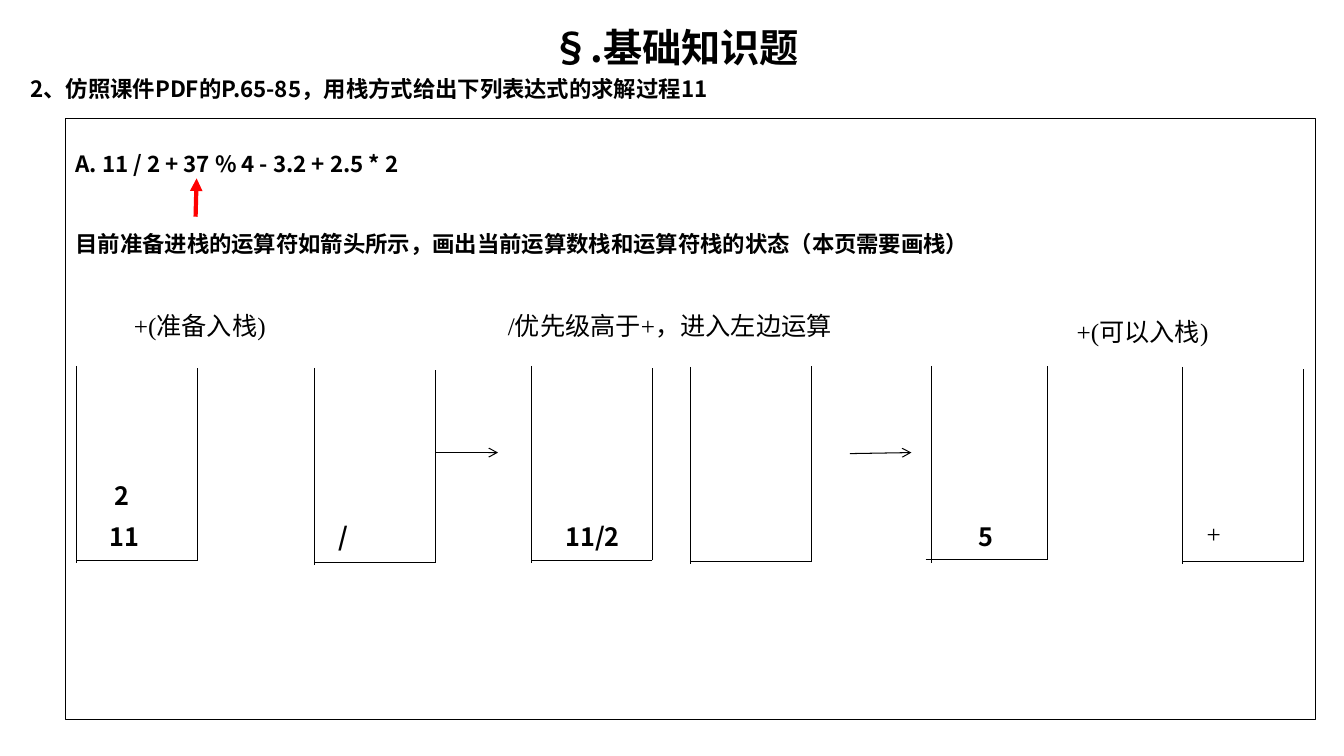
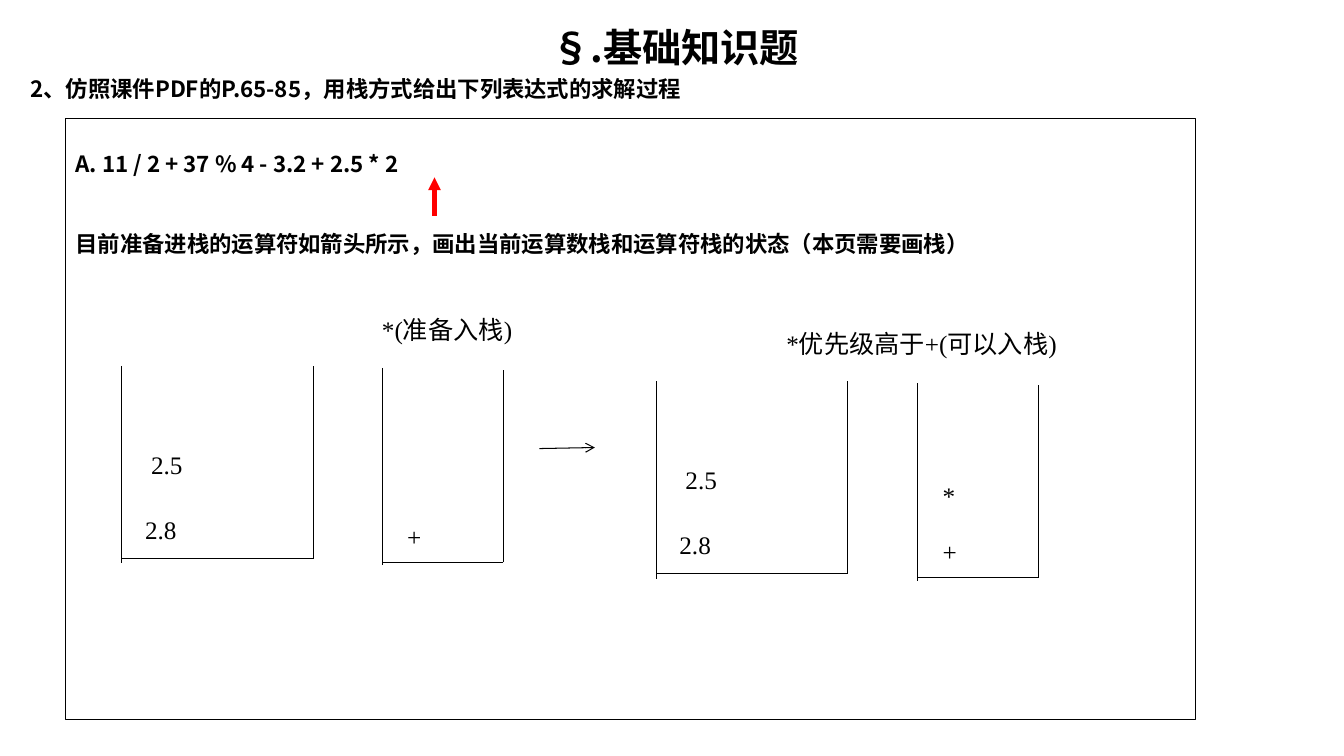
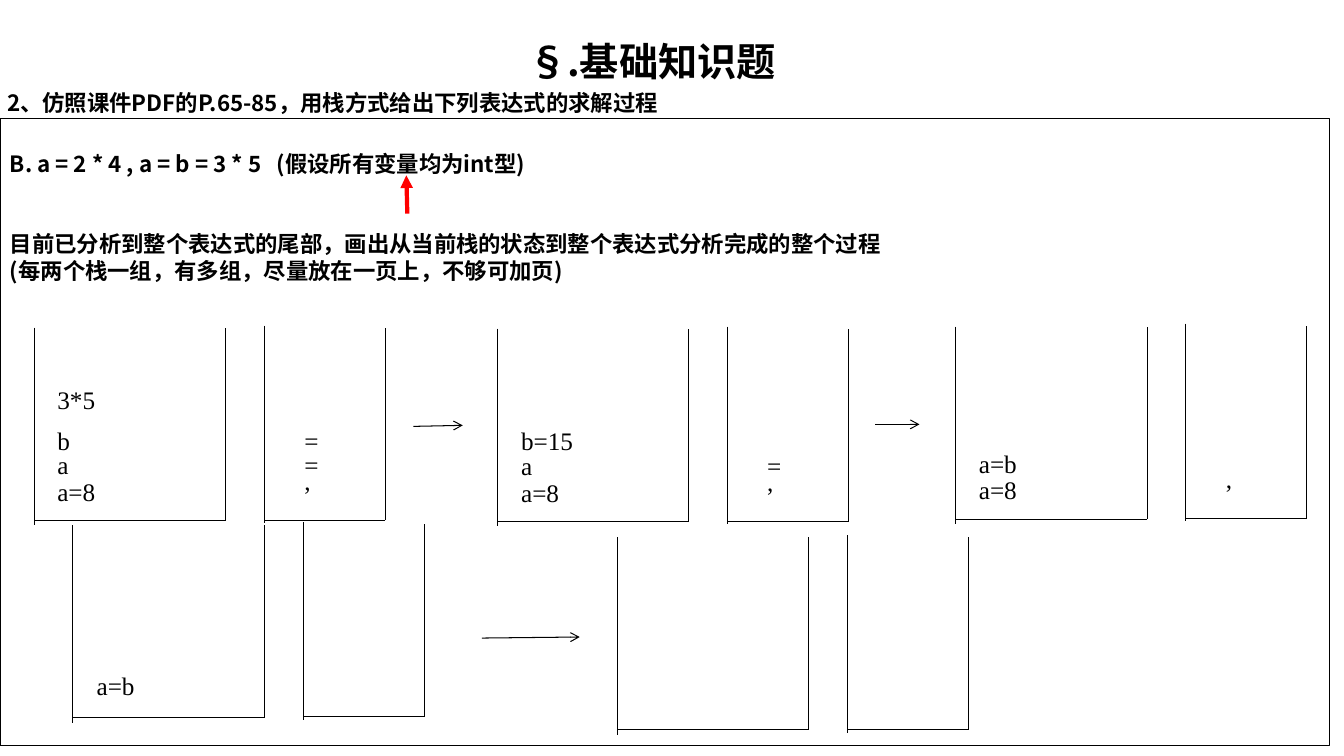
from dataclasses import dataclass

from pptx import Presentation
from pptx.dml.color import RGBColor
from pptx.enum.shapes import MSO_CONNECTOR as Connector, MSO_SHAPE as Preset
from pptx.enum.text import MSO_ANCHOR as Anchor, MSO_AUTO_SIZE as AutoSize, PP_ALIGN as Align
from pptx.oxml.ns import qn
from pptx.slide import Slide
from pptx.text.text import TextFrame
from pptx.util import Emu, Pt
from lxml.etree import SubElement

PX = 9144  # 100 px to the inch
COLOURS = {"ink": "000000", "pointer": "FF0000"}
SANS, SERIF = "Noto Sans CJK SC", "Times New Roman"
HEADING = "§.基础知识题"
QUESTION = "2、仿照课件PDF的P.65-85，用栈方式给出下列表达式的求解过程"
EXPRESSION_A = "A. 11 / 2 + 37 % 4 - 3.2 + 2.5 * 2"
TASK_A = "目前准备进栈的运算符如箭头所示，画出当前运算数栈和运算符栈的状态（本页需要画栈）"
EXPRESSION_B = "B. a = 2 * 4 , a = b = 3 * 5   (假设所有变量均为int型)"
TASK_B = "目前已分析到整个表达式的尾部，画出从当前栈的状态到整个表达式分析完成的整个过程"
TASK_B_NOTE = "(每两个栈一组，有多组，尽量放在一页上，不够可加页)"


@dataclass(frozen=True)
class Label:
    """Text at a place on the slide, or inside a stack relative to its top left."""
    text: str
    left: int
    top: int
    width: int = 92
    bold: bool = False


@dataclass(frozen=True)
class Stack:
    left: int
    top: int
    width: int = 120
    floor: int = 193
    right_drop: int = 2
    overhang: int = 0
    items: tuple[Label, ...] = ()


@dataclass(frozen=True)
class Arrow:
    start: tuple[int, int]
    end: tuple[int, int]


@dataclass(frozen=True)
class Page:
    question: str
    title_at: tuple[int, int]
    frame: tuple[int, int, int, int]
    lines: tuple[str, ...]
    pointer: Arrow
    stacks: tuple[Stack, ...]
    steps: tuple[Arrow, ...]
    captions: tuple[Label, ...] = ()


def px(*lengths: int) -> list[Emu]:
    return [Emu(length * PX) for length in lengths]


def write(frame: TextFrame, text: str, *, size: int, font: str = SANS, bold: bool = True,
          align: Align = Align.LEFT, before: float = 0) -> None:
    """Fill the empty first paragraph, or append a new one."""
    first = frame.paragraphs[0]
    paragraph = frame.add_paragraph() if first.runs else first
    paragraph.alignment = align
    paragraph.space_before = Pt(before)
    run = paragraph.add_run()
    run.text = text
    run.font.size, run.font.bold, run.font.name = Pt(size), bold, font
    run.font.color.rgb = RGBColor.from_string(COLOURS["ink"])
    east_asian = SubElement(run.font._element, qn("a:ea"))
    east_asian.set("typeface", SANS)


def draw_line(slide: Slide, start: tuple[int, int], end: tuple[int, int], *,
              colour: str = "ink", weight: float = 0.75, head: str = "") -> None:
    line = slide.shapes.add_connector(Connector.STRAIGHT, *px(*start, *end))
    line.line.color.rgb = RGBColor.from_string(COLOURS[colour])
    line.line.width = Pt(weight)
    if head:
        SubElement(line.line._get_or_add_ln(), qn("a:tailEnd")).set("type", head)
    SubElement(line._element.spPr, qn("a:effectLst"))


def draw_label(slide: Slide, label: Label, left: int = 0, top: int = 0) -> None:
    box = slide.shapes.add_textbox(*px(left + label.left, top + label.top, label.width, 40))
    frame = box.text_frame
    frame.word_wrap = True
    frame.auto_size = AutoSize.SHAPE_TO_FIT_TEXT
    write(frame, label.text, size=18, font=SANS if label.bold else SERIF, bold=label.bold)


def draw_stack(slide: Slide, stack: Stack) -> None:
    """Draw an open-topped box and what it holds."""
    left, top, right = stack.left, stack.top, stack.left + stack.width
    floor = top + stack.floor
    draw_line(slide, (left, top), (left, top + 196))
    draw_line(slide, (left - stack.overhang, floor), (right, floor))
    draw_line(slide, (right, floor), (right, top + stack.right_drop))
    for item in stack.items:
        draw_label(slide, item, left, top)


def stack_pair(left: int, top: int, operands: tuple[Label, ...] = (),
               operators: tuple[Label, ...] = (), *, step: int = 229,
               shift: int = -2) -> tuple[Stack, Stack]:
    """A wide operand stack with a narrow operator stack beside it."""
    return (Stack(left, top, width=190, floor=191, right_drop=0, items=operands),
            Stack(left + step, top + shift, items=operators))


def column(left: int, *entries: tuple[str, int], width: int = 61) -> tuple[Label, ...]:
    return tuple(Label(text, left, top, width) for text, top in entries)


def draw_title(slide: Slide, page: Page) -> None:
    title = slide.shapes.title
    title.left, title.top, title.width, title.height = px(*page.title_at, 1299, 709)
    frame = title.text_frame
    frame.auto_size, frame.vertical_anchor = AutoSize.NONE, Anchor.TOP
    frame.word_wrap = True
    write(frame, HEADING, size=28, align=Align.CENTER)
    write(frame, page.question, size=16, before=3.2)


def draw_frame(slide: Slide, page: Page) -> None:
    panel = slide.shapes.add_shape(Preset.RECTANGLE, *px(*page.frame))
    panel.shadow.inherit = False
    panel.fill.background()
    panel.line.color.rgb = RGBColor.from_string(COLOURS["ink"])
    panel.line.width = Pt(0.75)
    frame = panel.text_frame
    frame.word_wrap, frame.vertical_anchor = True, Anchor.TOP
    frame.margin_top = px(31)[0]
    for number, text in enumerate(page.lines):
        write(frame, text, size=16, before=38 if number == 1 else 0)


def draw_page(slide: Slide, page: Page) -> None:
    draw_title(slide, page)
    draw_frame(slide, page)
    draw_line(slide, page.pointer.start, page.pointer.end,
              colour="pointer", weight=3, head="triangle")
    for stack in page.stacks:
        draw_stack(slide, stack)
    for step in page.steps:
        draw_line(slide, step.start, step.end, head="arrow")
    for caption in page.captions:
        draw_label(slide, caption)


OPERANDS_A = (Label("2.8", 13, 142, 343), Label("2.5", 19, 78, 285))
PLUS = Label("+", 15, 147, 93)

PAGES = (
    Page(
        QUESTION + "11", (20, 18), (65, 118, 1240, 596), (EXPRESSION_A, TASK_A),
        Arrow((194, 215), (195, 177)),
        stacks=(
            Stack(76, 363, items=(Label("11", 23, 149, bold=True),
                                  Label("2", 28, 109, bold=True))),
            Stack(312, 365, items=(Label("/", 14, 147, bold=True),)),
            Stack(527, 363, items=(Label("11/2", 24, 149, bold=True),)),
            Stack(685, 364, right_drop=-1),
            Stack(924, 363, width=115, floor=192, right_drop=0, overhang=6,
                  items=(Label("5", 37, 149, bold=True),)),
            Stack(1173, 364, items=(Label("+", 14, 145),)),
        ),
        steps=(Arrow((432, 449), (494, 449)), Arrow((843, 450), (904, 449))),
        captions=(Label("+(准备入栈)", 123, 303, 221),
                  Label("/优先级高于+，进入左边运算", 494, 303, 387),
                  Label("+(可以入栈)", 1058, 309, 221)),
    ),
    Page(
        QUESTION, (20, 18), (65, 118, 1121, 596), (EXPRESSION_A, TASK_A),
        Arrow((431, 214), (431, 176)),
        stacks=(
            *stack_pair(121, 363, OPERANDS_A, (PLUS,), step=258, shift=2),
            *stack_pair(651, 378, OPERANDS_A, (PLUS, Label("*", 15, 92, 221)),
                        step=259, shift=2),
        ),
        steps=(Arrow((535, 445), (590, 444)),),
        captions=(Label("*(准备入栈)", 369, 307, 221),
                  Label("*优先级高于+(可以入栈)", 770, 321, 352)),
    ),
    Page(
        QUESTION, (-3, 32), (0, 118, 1319, 622), (EXPRESSION_B, TASK_B, TASK_B_NOTE),
        Arrow((404, 212), (403, 174)),
        stacks=(
            *stack_pair(34, 325, column(13, ("a=8", 143), ("a", 116), ("b", 92), ("3*5", 51)),
                        column(30, (",", 134), ("=", 118), ("=", 94)), step=228),
            *stack_pair(493, 326, column(14, ("a=8", 143), ("a", 116), ("b=15", 91), width=112),
                        column(29, (",", 134), ("=", 118))),
            *stack_pair(948, 324, column(13, ("a=8", 142), ("a=b", 116)),
                        column(30, (",", 134)), step=228, shift=-3),
            *stack_pair(72, 521, column(14, ("a=b", 139)), shift=-3),
            *stack_pair(612, 533),
        ),
        steps=(Arrow((410, 423), (459, 422)), Arrow((868, 421), (912, 421)),
               Arrow((478, 633), (575, 632))),
    ),
)


def main() -> None:
    deck = Presentation()
    deck.slide_width, deck.slide_height = px(1333, 750)
    title_only = deck.slide_layouts[5]
    for page in PAGES:
        draw_page(deck.slides.add_slide(title_only), page)
    deck.save("out.pptx")


if __name__ == "__main__":
    main()
